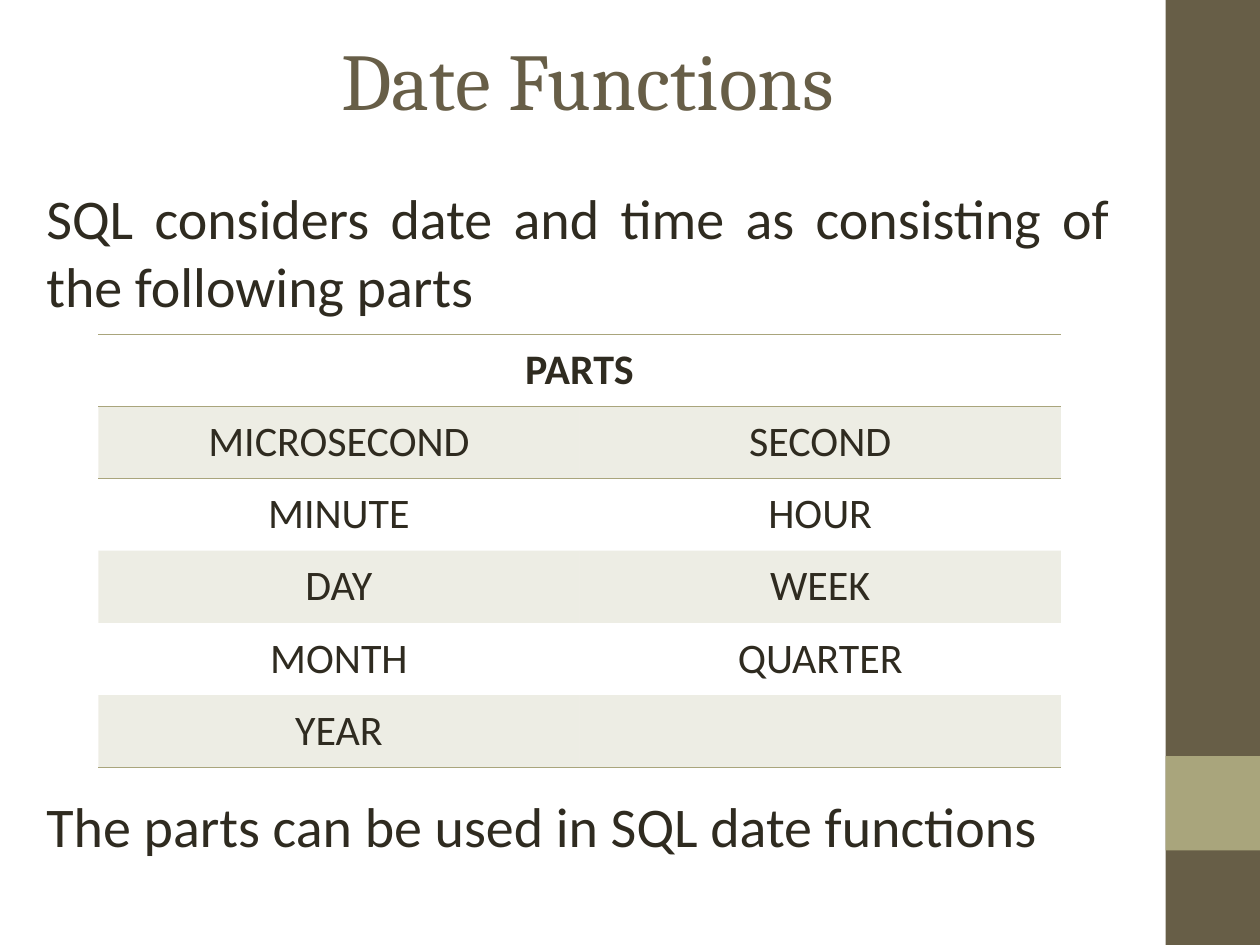
from pptx import Presentation
from pptx import util as u
from pptx.dml.color import RGBColor
from pptx.enum import shapes, text
from pptx.oxml import parse_xml
from pptx.oxml.ns import nsdecls, qn

DARK, SAGE, INK = "675E47", "A9A57C", "2F2B20"
BARS = [(0, 7.5, DARK), (6, 0.75, SAGE)]
TITLE = "Date Functions"
NOTES = [
    (1.41, 1.18, "SQL considers date and time as consisting of the following parts"),
    (6.23, 0.64, "The parts can be used in SQL date functions"),
]
ROWS = [
    ("PARTS", ""),
    ("MICROSECOND", "SECOND"),
    ("MINUTE", "HOUR"),
    ("DAY", "WEEK"),
    ("MONTH", "QUARTER"),
    ("YEAR", ""),
]
PLAIN = "{2D5ABB26-0587-4C30-8999-92F81FD0307C}"


def color(code):
    return RGBColor.from_string(code)


def write(frame, words, size, face, code, align, bold=False):
    frame.text = words
    para = frame.paragraphs[0]
    para.alignment = align
    for font in [para.font] + [run.font for run in para.runs]:
        font.size, font.name, font.bold = u.Pt(size), face, bold
        font.color.rgb = color(code)


def label(slide, left, top, width, height, words, size, face, code, align):
    box = slide.shapes.add_textbox(*map(u.Inches, (left, top, width, height)))
    box.text_frame.word_wrap = True
    write(box.text_frame, words, size, face, code, align)
    return box


def rule(cell, side):
    cell._tc.get_or_add_tcPr().append(parse_xml(
        f'<a:{side} {nsdecls("a")} w="{u.Pt(0.45)}"><a:solidFill>'
        f'<a:srgbClr val="{SAGE}"/></a:solidFill></a:{side}>'))


def shade(cell):
    cell.fill.solid()
    cell.fill.fore_color.rgb = color(SAGE)
    tone = cell._tc.tcPr.find(qn("a:solidFill")).find(qn("a:srgbClr"))
    tone.append(parse_xml(f'<a:alpha {nsdecls("a")} val="20000"/>'))


def grid(slide):
    count = len(ROWS)
    frame = slide.shapes.add_table(
        count, 2, *map(u.Inches, (0.78, 2.65, 7.64, 3.44)))
    table = frame.table
    table._tbl.tblPr.find(qn("a:tableStyleId")).text = PLAIN
    table.cell(0, 0).merge(table.cell(0, 1))
    for r, row in enumerate(ROWS):
        for c, words in enumerate(row):
            cell = table.cell(r, c)
            cell.vertical_anchor = text.MSO_ANCHOR.MIDDLE
            cell.margin_left = cell.margin_right = u.Inches(0.03)
            write(cell.text_frame, words, 24, "Calibri", INK,
                  text.PP_ALIGN.CENTER, r == 0)
            if r < 2:
                rule(cell, "lnT")
            if r in (0, count - 1):
                rule(cell, "lnB")
            if r % 2:
                shade(cell)
            else:
                cell.fill.background()


def main():
    deck = Presentation()
    deck.slide_width, deck.slide_height = u.Inches(10), u.Inches(7.5)
    slide = deck.slides.add_slide(deck.slide_layouts[6])
    for top, height, code in BARS:
        bar = slide.shapes.add_shape(
            shapes.MSO_SHAPE.RECTANGLE,
            *map(u.Inches, (9.25, top, 0.75, height)))
        bar.shadow.inherit = False
        bar.fill.solid()
        bar.fill.fore_color.rgb = color(code)
        bar.line.fill.background()
    head = label(slide, 0.5, 0, 8.33, 1.25, TITLE, 46, "Cambria", DARK,
                 text.PP_ALIGN.CENTER)
    head.text_frame.vertical_anchor = text.MSO_ANCHOR.MIDDLE
    for top, height, words in NOTES:
        label(slide, 0.27, top, 8.64, height, words, 32, "Calibri", INK,
              text.PP_ALIGN.JUSTIFY)
    grid(slide)
    deck.save("out.pptx")


if __name__ == "__main__":
    main()
